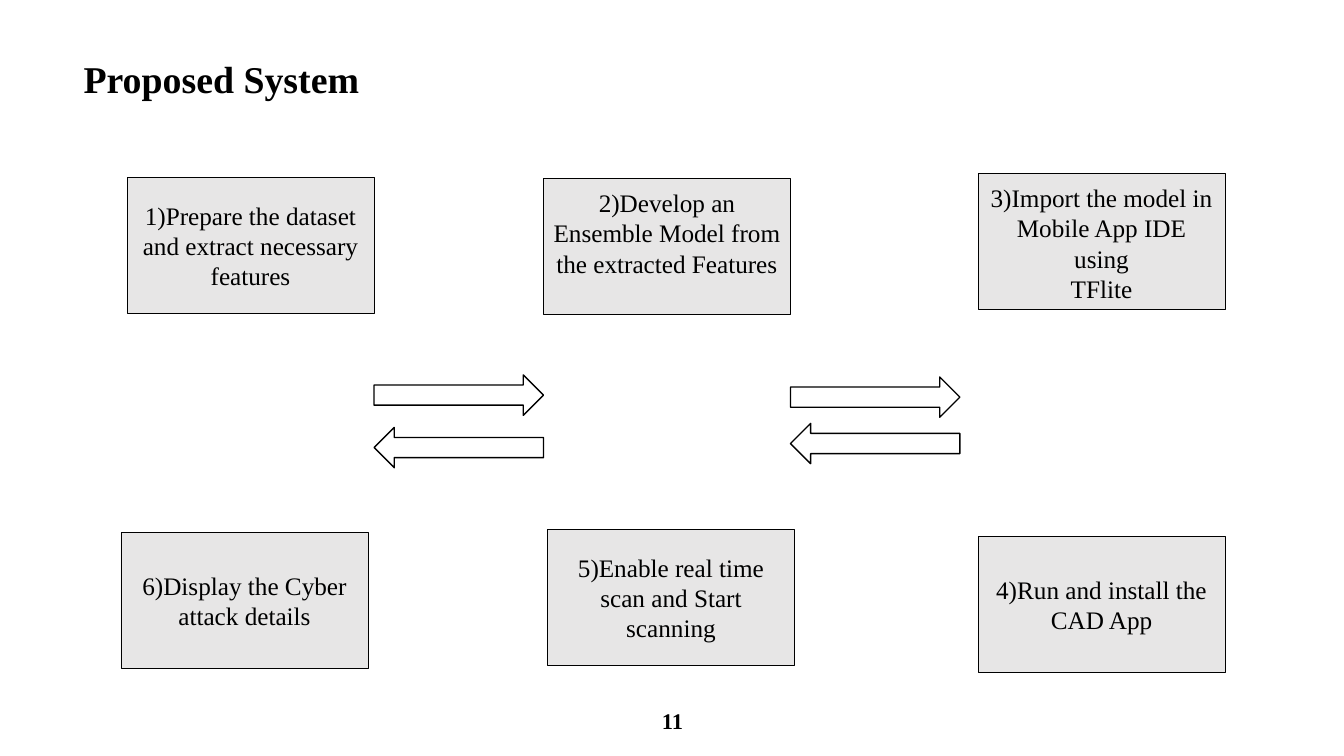
from pptx import Presentation
from pptx.dml.color import RGBColor
from pptx.enum.shapes import MSO_SHAPE as Shape
from pptx.enum.text import MSO_ANCHOR as Anchor, PP_ALIGN as Align
from pptx.util import Inches, Pt

FONT = "Times New Roman"
BLACK, WHITE, GRAY = "000000", "FFFFFF", "E7E6E6"
STEP_SIZE = (2.45, 1.35)
ARROW_SIZE = (1.68, 0.4)

# left, top, anchor, paragraphs
STEPS = [
    (1.26, 1.76, Anchor.MIDDLE, ["1)Prepare the dataset and extract necessary features"]),
    (5.39, 1.77, Anchor.TOP, ["2)Develop an Ensemble Model from the extracted Features"]),
    (9.7, 1.72, Anchor.TOP, ["3)Import the model in Mobile App IDE using", "TFlite"]),
    (9.7, 5.32, Anchor.MIDDLE, ["4)Run and install the", "CAD App"]),
    (5.43, 5.25, Anchor.MIDDLE, ["5)Enable real time scan and Start scanning"]),
    (1.2, 5.28, Anchor.MIDDLE, ["6)Display the Cyber attack details"]),
]
# left, top of the forward arrow, top of the backward arrow
ARROW_PAIRS = [(3.71, 3.72, 4.24), (7.84, 3.74, 4.2)]


def color(value):
    return RGBColor.from_string(value)


def inches(*lengths):
    return [Inches(length) for length in lengths]


def write(shape, lines, size, bold=False, anchor=Anchor.MIDDLE):
    """Fill a shape with centred paragraphs."""
    frame = shape.text_frame
    frame.text = "\n".join(lines)
    frame.word_wrap = True
    frame.vertical_anchor = anchor
    for para in frame.paragraphs:
        para.alignment = Align.CENTER
        for span in para.runs:
            span.font.name = FONT
            span.font.size = Pt(size)
            span.font.bold = bold
            span.font.color.rgb = color(BLACK)


def add_outlined(slide, kind, box, fill, line_width):
    shape = slide.shapes.add_shape(kind, *inches(*box))
    shape.shadow.inherit = False
    shape.fill.solid()
    shape.fill.fore_color.rgb = color(fill)
    shape.line.color.rgb = color(BLACK)
    shape.line.width = Pt(line_width)
    return shape


def add_title(slide, box, text):
    title = slide.shapes.title
    title.left, title.top, title.width, title.height = inches(*box)
    write(title, [text], 27, bold=True, anchor=Anchor.BOTTOM)
    title.text_frame.paragraphs[0].line_spacing = 0.9


def add_page_number(slide, box, number):
    write(slide.shapes.add_textbox(*inches(*box)), [number], 16, bold=True)


def add_arrow_pair(slide, left, forward_top, backward_top):
    for top, angle in ((forward_top, 0), (backward_top, 180)):
        arrow = add_outlined(slide, Shape.RIGHT_ARROW, (left, top, *ARROW_SIZE), WHITE, 1)
        arrow.rotation = angle


def add_step(slide, left, top, anchor, lines):
    step = add_outlined(slide, Shape.RECTANGLE, (left, top, *STEP_SIZE), GRAY, 0.5)
    write(step, lines, 18, anchor=anchor)
    if anchor == Anchor.TOP:
        step.text_frame.margin_top = Inches(0.09)


def build_process_slide(deck):
    slide = deck.slides.add_slide(deck.slide_layouts[5])
    add_title(slide, (0.52, 0.54, 3.35, 0.52), "Proposed System")
    add_page_number(slide, (4.42, 6.95, 4.5, 0.4), "11")
    for pair in ARROW_PAIRS:
        add_arrow_pair(slide, *pair)
    for step in STEPS:
        add_step(slide, *step)


def main():
    deck = Presentation()
    deck.slide_width, deck.slide_height = inches(13.33, 7.5)
    build_process_slide(deck)
    deck.save("out.pptx")


if __name__ == "__main__":
    main()
